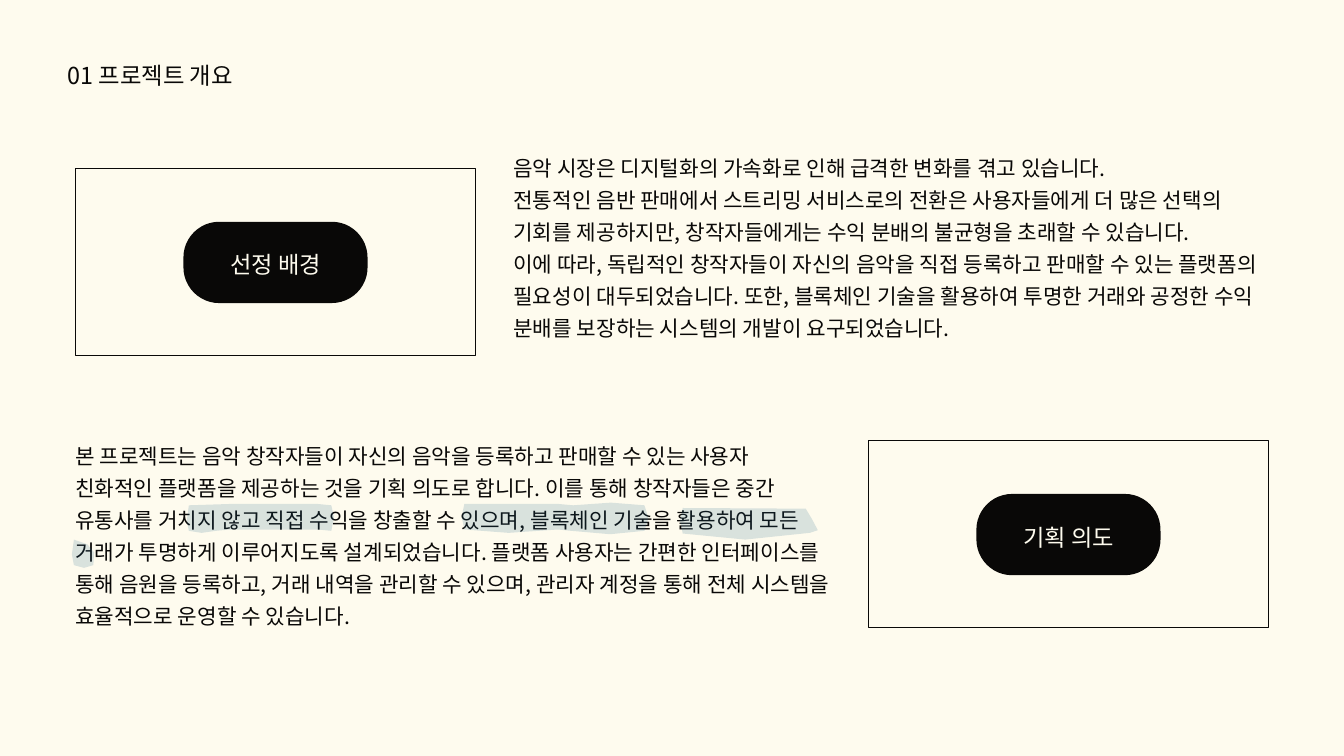
"""Build the project overview slide with its background and intent sections."""
import lxml.etree
import pptx
import pptx.dml.color
import pptx.enum.shapes
import pptx.enum.text
import pptx.oxml.ns
import pptx.util

THEME = {
    "font": "Noto Sans CJK SC",
    "ink": pptx.dml.color.RGBColor.from_string("090807"),
    "paper": pptx.dml.color.RGBColor.from_string("FEFBEE"),
    "marker": pptx.dml.color.RGBColor.from_string("26678B"),
    "marker_alpha": "17000",
    "title": (25, 35),
    "label": (24.9, 34.9),
    "body": (22.8, 34.3),
}
LEFT = pptx.enum.text.PP_ALIGN.LEFT
CENTER = pptx.enum.text.PP_ALIGN.CENTER
SHAPES = pptx.enum.shapes.MSO_SHAPE

deck = pptx.Presentation()
deck.slide_width = pptx.util.Inches(20)
deck.slide_height = pptx.util.Inches(11.25)
col = deck.slide_width / 20
row = deck.slide_height / 11.25
slide = deck.slides.add_slide(deck.slide_layouts[6])
slide.background.fill.solid()
slide.background.fill.fore_color.rgb = THEME["paper"]


def place(left, top, width, height):
    return [round(left * col), round(top * row), round(width * col), round(height * row)]


def write(area, paragraphs, style, color, align=LEFT):
    frame = slide.shapes.add_textbox(*place(*area)).text_frame
    frame.margin_left = frame.margin_top = frame.margin_right = frame.margin_bottom = 0
    frame.word_wrap = True
    frame.text = "\n".join(paragraphs)
    size, leading = THEME[style]
    for paragraph in frame.paragraphs:
        paragraph.alignment = align
        paragraph.line_spacing = pptx.util.Pt(leading)
        for run in paragraph.runs:
            run.font.size = pptx.util.Pt(size)
            run.font.name = THEME["font"]
            run.font.color.rgb = THEME[color]
            east_asian = lxml.etree.SubElement(run.font._element, pptx.oxml.ns.qn("a:ea"))
            east_asian.set("typeface", THEME["font"])


write((1.01, 0.84, 2.91, 0.49), ["01 프로젝트 개요"], "title", "ink")

sections = [
    ("선정 배경", (1.12, 2.51), 3.65, (7.64, 2.21, 11.25, 3.26), [
        "음악 시장은 디지털화의 가속화로 인해 급격한 변화를 겪고 있습니다.",
        "전통적인 음반 판매에서 스트리밍 서비스로의 전환은 사용자들에게 더 많은 선택의 "
        "기회를 제공하지만, 창작자들에게는 수익 분배의 불균형을 초래할 수 있습니다.",
        "이에 따라, 독립적인 창작자들이 자신의 음악을 직접 등록하고 판매할 수 있는 플랫폼의 "
        "필요성이 대두되었습니다. 또한, 블록체인 기술을 활용하여 투명한 거래와 공정한 "
        "수익 분배를 보장하는 시스템의 개발이 요구되었습니다.",
    ]),
    ("기획 의도", (12.92, 6.56), 7.72, (1.12, 6.5, 11.25, 2.79), [
        "본 프로젝트는 음악 창작자들이 자신의 음악을 등록하고 판매할 수 있는 사용자 "
        "친화적인 플랫폼을 제공하는 것을 기획 의도로 합니다. 이를 통해 창작자들은 중간 "
        "유통사를 거치지 않고 직접 수익을 창출할 수 있으며, 블록체인 기술을 활용하여 모든 "
        "거래가 투명하게 이루어지도록 설계되었습니다. 플랫폼 사용자는 간편한 인터페이스를 "
        "통해 음원을 등록하고, 거래 내역을 관리할 수 있으며, 관리자 계정을 통해 전체 "
        "시스템을 효율적으로 운영할 수 있습니다.",
    ]),
]
for label, (left, top), label_top, body_area, body in sections:
    border = slide.shapes.add_shape(SHAPES.RECTANGLE, *place(left, top, 5.96, 2.78))
    border.shadow.inherit = False
    border.fill.background()
    border.line.color.rgb = THEME["ink"]
    border.line.width = pptx.util.Pt(0.75)

    pill = slide.shapes.add_shape(
        SHAPES.ROUNDED_RECTANGLE, *place(left + 1.61, top + 0.79, 2.74, 1.21))
    pill.shadow.inherit = False
    pill.adjustments[0] = 0.44
    pill.fill.solid()
    pill.fill.fore_color.rgb = THEME["ink"]
    pill.line.fill.background()

    write((left + 1.64, label_top, 2.68, 0.46), [label], "label", "paper", CENTER)
    write(body_area, body, "body", "ink")

marker_strokes = [
    [(2.81, 7.52), (3.42, 7.5), (4.73, 7.5), (4.93, 7.52), (4.97, 7.7), (4.93, 7.9),
     (4.73, 7.88), (3.42, 7.88), (3.21, 7.9), (3, 7.93), (2.81, 7.9), (2.78, 7.75)],
    [(6.91, 7.5), (8.31, 7.5), (8.53, 7.52), (9.09, 7.48), (9.59, 7.52), (9.65, 7.71),
     (9.59, 7.9), (9.08, 7.95), (8.5, 7.9), (8.3, 7.88), (7.57, 7.93), (6.91, 7.88),
     (6.87, 7.69)],
    [(10.16, 7.56), (11.99, 7.57), (12.08, 7.72), (12.17, 7.89), (12.05, 7.93),
     (11.09, 8.03), (10.16, 7.94), (10.12, 7.75)],
    [(1.1, 8.03), (1.3, 8.1), (1.4, 8.22), (1.39, 8.41), (1.25, 8.45), (1.1, 8.41),
     (1.07, 8.25)],
]
for stroke in marker_strokes:
    start, *outline = [(round(x * col), round(y * row)) for x, y in stroke]
    builder = slide.shapes.build_freeform(*start)
    builder.add_line_segments(outline, close=True)
    highlight = builder.convert_to_shape()
    highlight.shadow.inherit = False
    highlight.line.fill.background()
    highlight.fill.solid()
    highlight.fill.fore_color.rgb = THEME["marker"]
    tint = highlight._element.spPr.find(".//" + pptx.oxml.ns.qn("a:srgbClr"))
    lxml.etree.SubElement(tint, pptx.oxml.ns.qn("a:alpha")).set("val", THEME["marker_alpha"])

deck.save("out.pptx")
